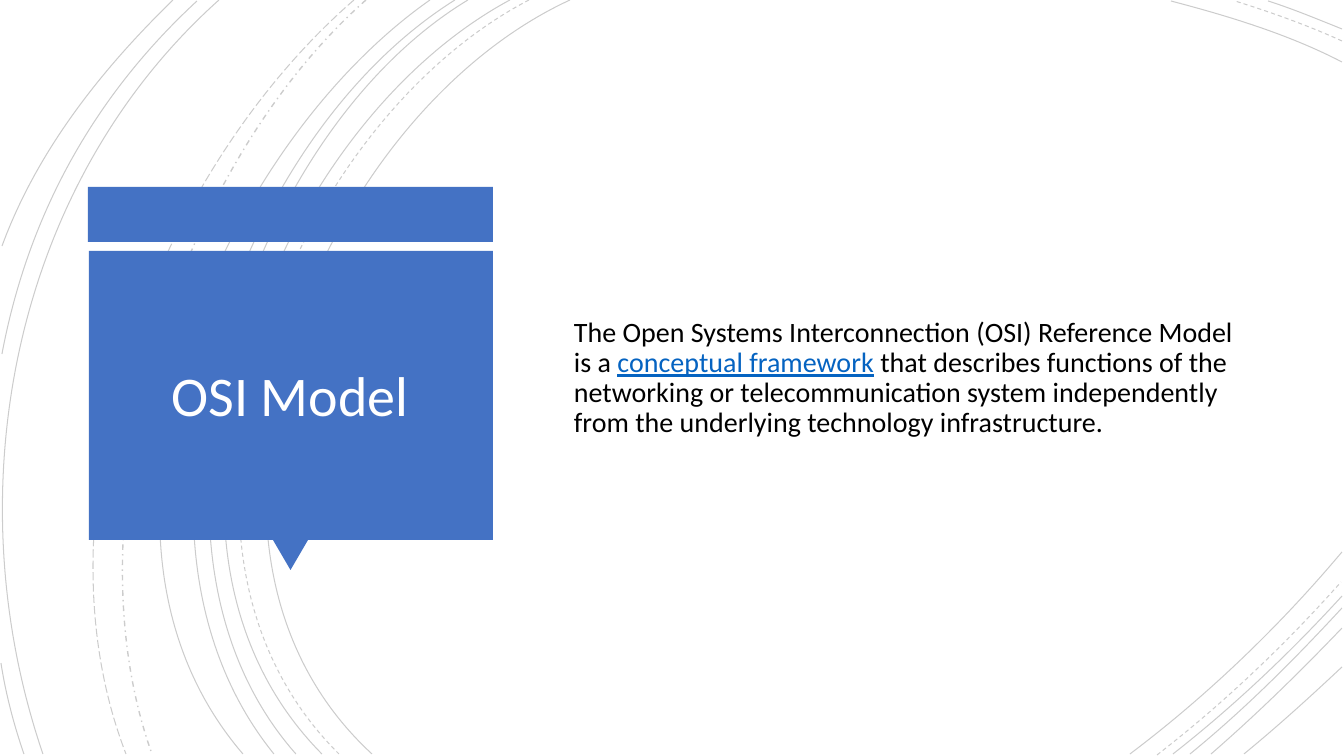
from pptx import Presentation
from pptx.dml.color import RGBColor
from pptx.enum.dml import MSO_LINE_DASH_STYLE as DASH
from pptx.enum.shapes import MSO_SHAPE as SHAPE
from pptx.enum.text import MSO_ANCHOR as ANCHOR, PP_ALIGN as ALIGN
from pptx.oxml.ns import qn
from pptx.util import Pt
from lxml.etree import SubElement

PX = 914400 / 100.8  # EMU per pixel
FONT = "Calibri"
BLACK = RGBColor(0x00, 0x00, 0x00)
WHITE = RGBColor(0xFF, 0xFF, 0xFF)
BLUE = RGBColor(0x44, 0x72, 0xC4)
LINK_BLUE = RGBColor(0x05, 0x63, 0xC1)

TITLE = "OSI Model"
TITLE_BOX = (100, 266, 380, 264)
BODY = [
    ("The Open Systems Interconnection (OSI) Reference Model is a\u00a0", False),
    ("conceptual framework", True),
    ("\u00a0that describes functions of the networking or telecommunication "
     "system independently from the underlying technology infrastructure.", False),
]
BODY_BOX = (564, 89, 692, 579)

# Preset, box, rotation
CALLOUT = [
    (SHAPE.RECTANGLE, (88, 187, 405, 55), 0),
    (SHAPE.ISOSCELES_TRIANGLE, (273, 540, 35, 30), 180),
    (SHAPE.RECTANGLE, (89, 251, 404, 289), 0),
]

# Dash, width in points, arcs as start, two control points and end
ARCS = [
    (DASH.SOLID, 0.75, [
        [(570, 0), (318, 116), (144, 544), (372, 754)],
        [(510, 0), (272, 128), (111, 541), (322, 754)],
        [(468, 0), (246, 134), (111, 545), (296, 754)],
        [(455, 0), (233, 139), (98, 537), (274, 754)],
        [(430, 0), (219, 148), (53, 533), (243, 754)],
        [(219, 0), (11, 186), (-46, 494), (43, 754)],
        [(197, 1), (93, 97), (28, 216), (2, 354)],
        [(173, 0), (101, 70), (37, 151), (2, 246)],
        [(1, 663), (6, 695), (14, 725), (24, 754)],
        [(1342, 62), (1288, 34), (1228, 16), (1171, 1)],
        [(1342, 29), (1317, 19), (1293, 9), (1268, 1)],
        [(1130, 754), (1207, 696), (1279, 627), (1342, 552)],
        [(1173, 754), (1233, 707), (1290, 653), (1342, 596)],
        [(1190, 754), (1244, 710), (1294, 660), (1342, 608)],
        [(1211, 754), (1256, 715), (1300, 672), (1342, 628)],
        [(1244, 754), (1277, 727), (1309, 698), (1342, 667)],
    ]),
    (DASH.DASH, 0.75, [
        [(529, 0), (287, 126), (124, 541), (339, 754)],
        [(1342, 41), (1307, 25), (1270, 12), (1235, 1)],
        [(1157, 755), (1223, 704), (1285, 645), (1341, 582)],
    ]),
    (DASH.DASH_DOT, 1, [[(366, 0), (177, 167), (66, 513), (152, 754)]]),
    (DASH.LONG_DASH, 0.75, [[(354, 0), (158, 170), (29, 503), (126, 754)]]),
]


def emu(box):
    """Turn pixel lengths into EMU."""
    return [round(length * PX) for length in box]


def add_arc(shapes, points, dash, width):
    """Draw one faint Bezier arc through its four defining points."""
    builder = shapes.build_freeform(*points[0], scale=PX)
    builder.add_line_segments(points[1:], close=False)
    shape = builder.convert_to_shape()
    shape.shadow.inherit = False
    shape.fill.background()
    shape.line.color.rgb = BLACK
    shape.line.width = Pt(width)
    shape.line.dash_style = dash
    color = shape.line._ln.find(".//" + qn("a:srgbClr"))
    SubElement(color, qn("a:alpha"), val="20000")

    # Merge the three straight segments into one cubic curve
    segments = shape._element.xpath(".//a:lnTo")
    curve = SubElement(segments[0].getparent(), qn("a:cubicBezTo"))
    for segment in segments:
        curve.append(segment[0])
        segment.getparent().remove(segment)


def add_block(shapes, preset, box, rotation):
    """Add one plain blue part of the title callout."""
    shape = shapes.add_shape(preset, *emu(box))
    shape.rotation = rotation
    shape.shadow.inherit = False
    shape.fill.solid()
    shape.fill.fore_color.rgb = BLUE
    shape.line.fill.background()


def add_paragraph(slide, box, size, color, align):
    """Add a middle-anchored text box and return its styled paragraph."""
    frame = slide.shapes.add_textbox(*emu(box)).text_frame
    frame.word_wrap = True
    frame.vertical_anchor = ANCHOR.MIDDLE
    paragraph = frame.paragraphs[0]
    paragraph.alignment = align
    paragraph.line_spacing = 0.9
    paragraph.font.name = FONT
    paragraph.font.size = Pt(size)
    paragraph.font.color.rgb = color
    return paragraph


presentation = Presentation()
presentation.slide_width, presentation.slide_height = emu((1344, 756))
slide = presentation.slides.add_slide(presentation.slide_layouts[6])

arc_group = slide.shapes.add_group_shape()
for dash, width, arcs in ARCS:
    for points in arcs:
        add_arc(arc_group.shapes, points, dash, width)

callout_group = slide.shapes.add_group_shape()
for preset, box, rotation in CALLOUT:
    add_block(callout_group.shapes, preset, box, rotation)

add_paragraph(slide, TITLE_BOX, 40, WHITE, ALIGN.CENTER).add_run().text = TITLE

body = add_paragraph(slide, BODY_BOX, 20, BLACK, ALIGN.LEFT)
body.space_before = Pt(10)
for text, is_link in BODY:
    run = body.add_run()
    run.text = text
    if is_link:
        run.font.color.rgb = LINK_BLUE
        run.font.underline = True

presentation.save("out.pptx")
